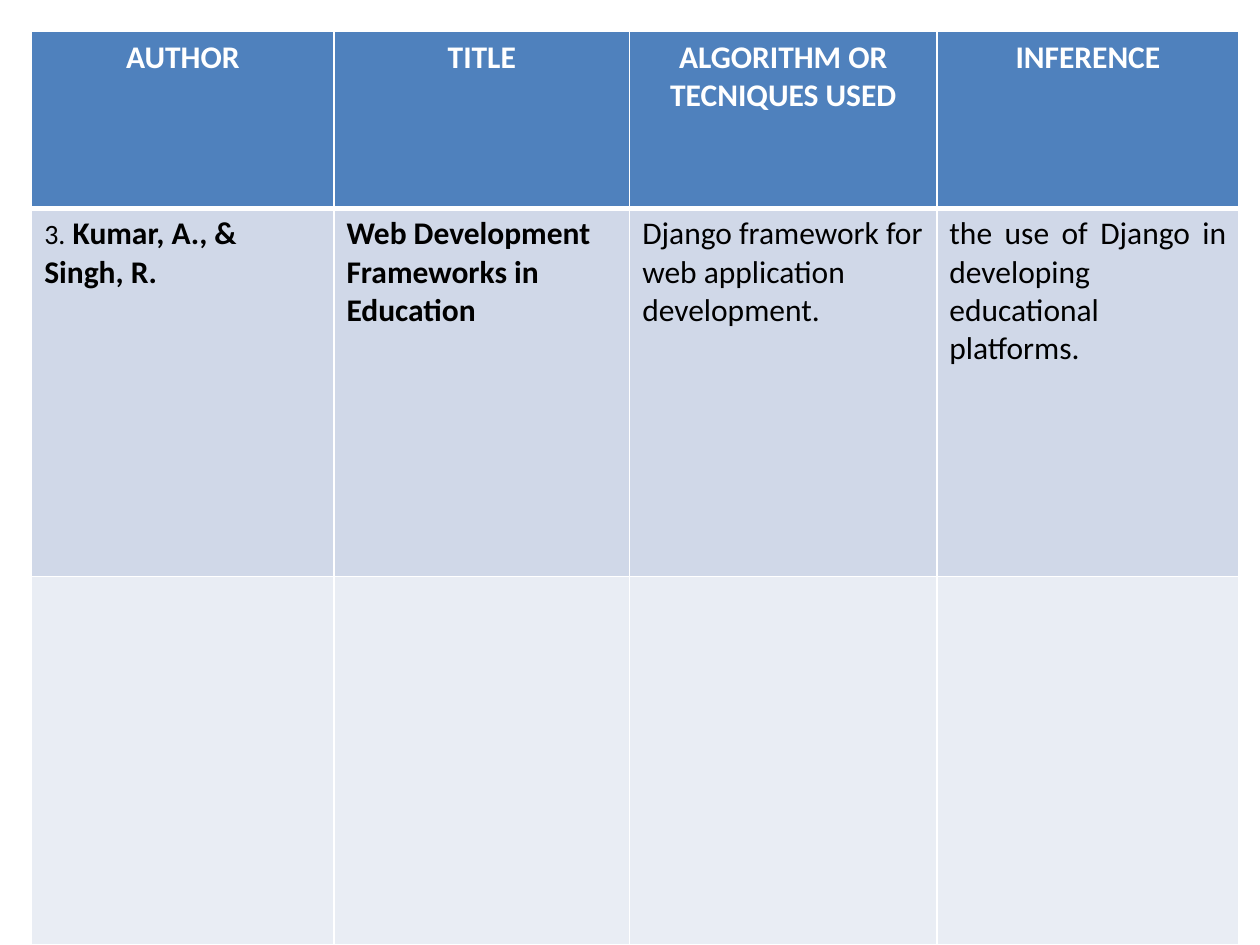
from lxml.etree import SubElement
from pptx import Presentation
from pptx.dml.color import RGBColor
from pptx.enum.text import PP_ALIGN
from pptx.oxml.ns import qn
from pptx.util import Cm, Pt

HEADINGS = ["AUTHOR", "TITLE", "ALGORITHM OR TECNIQUES USED", "INFERENCE"]
COLUMN_WIDTHS = [6.1, 5.97, 6.2, 6.1]
ROW_HEIGHTS = [3.56, 7.42, 7.42]
ROW_FILLS = ["4F81BD", "D0D8E8", "E9EDF4"]


def colour(hex_string):
    return RGBColor.from_string(hex_string)


def write(paragraph, text, size=18, bold=False, hex_colour="000000", align=None):
    run = paragraph.add_run()
    run.text = text
    run.font.name = "Calibri"
    run.font.size = Pt(size)
    run.font.bold = bold
    run.font.color.rgb = colour(hex_colour)
    if align is not None:
        paragraph.alignment = align


def set_borders(cell, top, bottom):
    properties = cell._tc.get_or_add_tcPr()
    for side, width in zip("LRTB", (1, 1, top, bottom)):
        border = SubElement(properties, qn(f"a:ln{side}"), w=str(Pt(width)))
        border_fill = SubElement(border, qn("a:solidFill"))
        SubElement(border_fill, qn("a:srgbClr"), val="FFFFFF")


def literature_table(slide, left, top, width, height):
    table = slide.shapes.add_table(
        len(ROW_HEIGHTS), len(COLUMN_WIDTHS),
        Cm(left), Cm(top), Cm(width), Cm(height)).table
    for column, share in zip(table.columns, COLUMN_WIDTHS):
        column.width = Cm(width * share / sum(COLUMN_WIDTHS))
    for index, (row, share) in enumerate(zip(table.rows, ROW_HEIGHTS)):
        row.height = Cm(height * share / sum(ROW_HEIGHTS))
        for cell in row.cells:
            set_borders(cell, top=3 if index == 1 else 1, bottom=3 if index == 0 else 1)
            cell.fill.solid()
            cell.fill.fore_color.rgb = colour(ROW_FILLS[index])

    for column, heading in enumerate(HEADINGS):
        write(table.cell(0, column).text_frame.paragraphs[0], heading,
              bold=True, hex_colour="FFFFFF", align=PP_ALIGN.CENTER)

    author, title, technique, inference = [
        cell.text_frame.paragraphs[0] for cell in table.rows[1].cells]
    write(author, "3.", size=16)
    write(author, " Kumar, A., & Singh, R.", bold=True)
    write(title, "Web Development Frameworks in Education", bold=True)
    write(technique, "Django framework for web application development.")
    write(inference, "the use of Django in developing educational platforms.",
          align=PP_ALIGN.JUSTIFY)


def main():
    deck = Presentation()
    deck.slide_width, deck.slide_height = Cm(25.4), Cm(19.05)
    slide = deck.slides.add_slide(deck.slide_layouts[6])
    literature_table(slide, left=0.64, top=0.64, width=24.34, height=18.4)
    deck.save("out.pptx")


if __name__ == "__main__":
    main()
